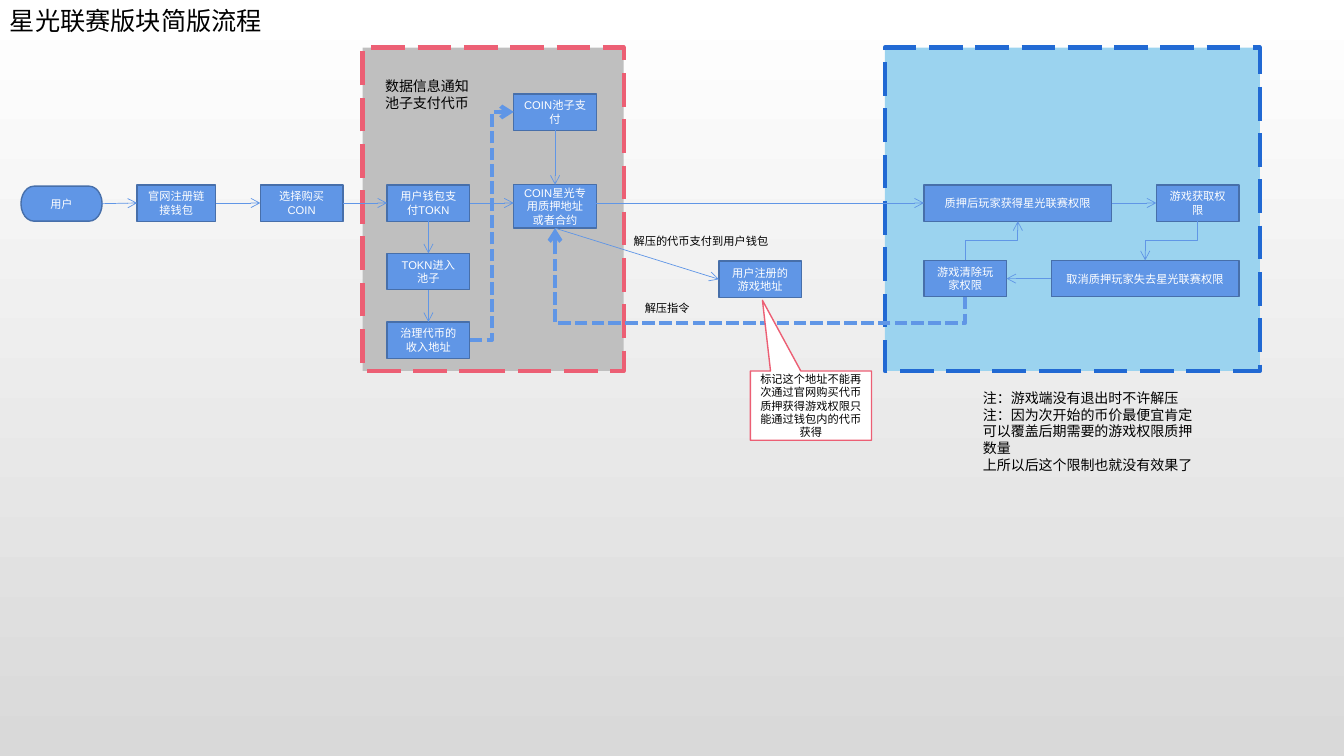
"""Build a one-slide flow chart of the star league process."""
from lxml import etree
from pptx import Presentation
from pptx.dml.color import RGBColor
from pptx.enum.dml import MSO_LINE
from pptx.enum.shapes import MSO_CONNECTOR, MSO_SHAPE
from pptx.enum.text import MSO_ANCHOR, MSO_AUTO_SIZE, PP_ALIGN
from pptx.oxml.ns import qn
from pptx.util import Pt

RECT = MSO_SHAPE.RECTANGLE
STEP = MSO_SHAPE.FLOWCHART_PROCESS
START = MSO_SHAPE.FLOWCHART_TERMINATOR
NOTE = MSO_SHAPE.RECTANGULAR_CALLOUT
LINE, ELBOW = MSO_CONNECTOR.STRAIGHT, MSO_CONNECTOR.ELBOW
LONG, DASH = MSO_LINE.LONG_DASH, MSO_LINE.SQUARE_DOT
CENTER, MIDDLE = PP_ALIGN.CENTER, MSO_ANCHOR.MIDDLE
GROW = MSO_AUTO_SIZE.SHAPE_TO_FIT_TEXT
TOP, LEFT, BOTTOM, RIGHT = range(4)

THEME = {
    "font": "Arial", "title": 18, "body": 10, "small": 8,
    "black": "000000", "white": "FFFFFF", "fade": "D9D9D9",
    "blue": "6096E6", "edge": "476FAA", "red": "EC5F74",
    "gray": "BFBFBF", "sky": "9BD3EF", "navy": "2169D3",
}


def block(kind, box, fill, edge, width, text="", ink="white"):
    item = slide.shapes.add_shape(kind, *map(Pt, box))
    item.shadow.inherit = False
    item.fill.solid()
    item.fill.fore_color.rgb = RGBColor.from_string(THEME[fill])
    item.line.color.rgb = RGBColor.from_string(THEME[edge])
    item.line.width = Pt(width)
    frame = item.text_frame
    frame.word_wrap = True
    frame.vertical_anchor = MIDDLE
    if text:
        frame.text = text
        para = frame.paragraphs[0]
        para.alignment = CENTER
        font = para.runs[0].font
        font.name, font.size = THEME["font"], Pt(THEME["small"])
        font.color.rgb = RGBColor.from_string(THEME[ink])
    return item


def wire(kind, x1, y1, x2, y2, width=0.5, turn=False, bend=0.5):
    if turn:
        mx, my = (x1 + x2) / 2, (y1 + y2) / 2
        dx, dy = (x1 - x2) / 2, (y1 - y2) / 2
        x1, y1, x2, y2 = mx + dy, my - dx, mx - dy, my + dx
    link = slide.shapes.add_connector(kind, *map(Pt, (x1, y1, x2, y2)))
    link.line.color.rgb = RGBColor.from_string(THEME["blue"])
    link.line.width = Pt(width)
    if width > 1:
        link.line.dash_style = DASH
    props = link._element.spPr
    etree.SubElement(props.find(qn("a:ln")), qn("a:tailEnd"), type="arrow")
    etree.SubElement(props, qn("a:effectLst"))
    if turn:
        props.find(qn("a:xfrm")).set("rot", "5400000")
    if kind == ELBOW:
        guides = props.find(qn("a:prstGeom")).get_or_add_avLst()
        etree.SubElement(guides, qn("a:gd"), name="adj1",
                         fmla=f"val {round(bend * 100000)}")
    return link


deck = Presentation()
deck.slide_width, deck.slide_height = Pt(960), Pt(540)
slide = deck.slides.add_slide(deck.slide_layouts[6])
back = slide.background.fill
back.gradient()
back.gradient_angle = 270
for stop, tone in zip(back.gradient_stops, ("white", "fade")):
    stop.color.rgb = RGBColor.from_string(THEME[tone])

block(RECT, (632, 34, 268, 231), "sky", "navy", 3)
block(RECT, (259, 34, 186.5, 231), "gray", "red", 3)
for zone in slide.shapes:
    zone.line.dash_style = LONG

ROW, GAP, LOW = 132, 49, 186
WIDE, SLIM, HIGH = 134, 59, 26
MID = ROW + HIGH / 2
steps = {
    "join": (98, ROW, 56, HIGH, "官网注册链接钱包"),
    "buy": (186, ROW, SLIM, HIGH, "选择购买COIN"),
    "pay": (276.5, ROW, SLIM, HIGH, "用户钱包支付TOKN"),
    "pool": (276.5, ROW + GAP, SLIM, HIGH, "TOKN进入池子"),
    "income": (276.5, ROW + 2 * GAP, SLIM, HIGH, "治理代币的收入地址"),
    "fund": (367, 67, SLIM, HIGH, "COIN池子支付"),
    "stake": (367, ROW, SLIM, 31, "COIN星光专用质押地址或者合约"),
    "right": (660, ROW, WIDE, HIGH, "质押后玩家获得星光联赛权限"),
    "game": (826, ROW, SLIM, HIGH, "游戏获取权限"),
    "cancel": (751, LOW, WIDE, HIGH, "取消质押玩家失去星光联赛权限"),
    "clear": (660, LOW, SLIM, HIGH, "游戏清除玩家权限"),
    "address": (513.5, LOW + 0.5, SLIM, HIGH, "用户注册的游戏地址"),
}
nodes = {"user": block(START, (15, 133, 58, 25), "blue", "edge", 1, "用户")}
for name, (*box, text) in steps.items():
    nodes[name] = block(STEP, box, "blue", "edge", 1, text)

for tail, out, head, into in (
    ("user", RIGHT, "join", LEFT), ("join", RIGHT, "buy", LEFT),
    ("buy", RIGHT, "pay", LEFT), ("pay", BOTTOM, "pool", TOP),
    ("pool", BOTTOM, "income", TOP), ("fund", BOTTOM, "stake", TOP),
    ("right", RIGHT, "game", LEFT), ("cancel", LEFT, "clear", RIGHT),
    ("stake", BOTTOM, "address", LEFT),
):
    link = wire(LINE, 0, 0, 1, 1)
    link.begin_connect(nodes[tail], out)
    link.end_connect(nodes[head], into)

wire(LINE, 335.5, MID, 367, MID)
wire(LINE, 426, MID, 660, MID)
wire(ELBOW, 335.5, 243, 367, 80, 3)
wire(ELBOW, 855.5, 158, 818, LOW, turn=True)
wire(ELBOW, 689.5, LOW, 727, 158, turn=True)
wire(ELBOW, 689.5, 212, 396.5, 163, 3, True, -0.38)

for x, y, w, h, size, text in (
    (0, 0, 300, 29, "title", "星光联赛版块简版流程"),
    (268, 52, 76.5, 32, "body", "数据信息通知池子支付代币"),
    (695, 274.5, 170, 68, "body",
     "注：游戏端没有退出时不许解压\n"
     "注：因为次开始的币价最便宜肯定可以覆盖后期需要的游戏权限质押数量\n"
     "上所以后这个限制也就没有效果了"),
    (453.5, 211.5, 91.5, 17, "small", "解压指令"),
    (445.5, 163.5, 127.5, 17, "small", "解压的代币支付到用户钱包"),
):
    frame = slide.shapes.add_textbox(*map(Pt, (x, y, w, h))).text_frame
    frame.word_wrap = True
    frame.auto_size = GROW
    frame.text = text
    for para in frame.paragraphs:
        font = para.runs[0].font
        font.name, font.size = THEME["font"], Pt(THEME[size])
        font.color.rgb = RGBColor.from_string(THEME["black"])

note = block(NOTE, (536, 265, 86.5, 49.5), "white", "red", 1,
             "标记这个地址不能再次通过官网购买代币质押获得游戏权限只能通过钱包内的代币获得",
             "black")
note.adjustments[0], note.adjustments[1] = -0.4, -1.52

deck.save("out.pptx")
